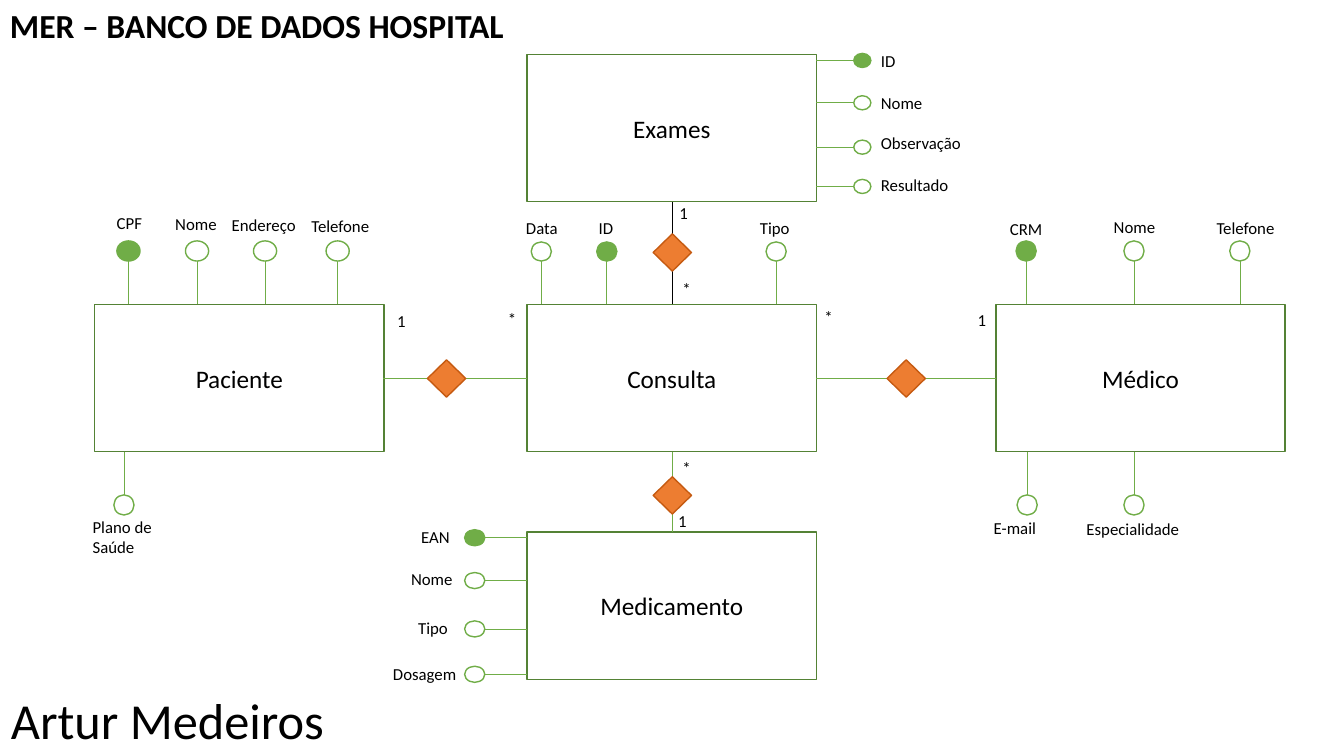
import pptx
import pptx.dml.color
import pptx.enum.shapes
import pptx.enum.text
import pptx.oxml.ns
import pptx.util
from lxml import etree

COLUMNS, ROWS = 133.33, 75
CELL = pptx.util.Inches(0.1)
FONT = "Calibri"
COLORS = {
    "paper": "FFFFFF",
    "ink": "000000",
    "entity_line": "548235",
    "attribute": "70AD47",
    "relation": "ED7D31",
    "relation_line": "C55A11",
}
ENTITY_WIDTH, ENTITY_HEIGHT = 28.7, 14.6
DIAMOND_WIDTH, DIAMOND_HEIGHT = 3.8, 3.7
LABEL_HEIGHT = 3

ENTITIES = {
    "Consulta": (52.3, 30.2),
    "Exames": (52.3, 5.4),
    "Medicamento": (52.3, 52.8),
    "Médico": (98.8, 30.2),
    "Paciente": (9.4, 30.2),
}
DIRECTIONS = {"top": (0, -1), "bottom": (0, 1), "left": (-1, 0), "right": (1, 0)}

# fmt: off
ATTRIBUTES = [
    ("Médico", "top", 2, 2, 4.3, [
        ("CRM", 101.8, 99.2, 21.2, 6.1, True),
        ("Nome", 112.5, 109.5, 21, 6.8, False),
        ("Telefone", 123, 119.7, 21.1, 8.5, False)]),
    ("Médico", "bottom", 2, 2, 4.3, [
        ("E-mail", 101.9, 97.6, 50.9, 8.5, False),
        ("Especialidade", 112.5, 106.8, 51, 11.5, False)]),
    ("Consulta", "top", 2, 1.9, 4.3, [
        ("Data", 53.7, 51.2, 21.1, 6.7, False),
        ("ID", 60.2, 58.4, 21.1, 6.7, True),
        ("Tipo", 77, 74.4, 21.1, 6.7, False)]),
    ("Medicamento", "left", 2, 1.6, 4.2, [
        ("EAN", 53.35, 40.8, 51.8, 5.3, True),
        ("Nome", 57.6, 39.8, 55.9, 6.3, False),
        ("Tipo", 62.4, 40.5, 60.8, 6.3, False),
        ("Dosagem", 66.9, 38, 65.4, 8.8, False)]),
    ("Exames", "right", 1.7, 1.4, 3.7, [
        ("ID", 6, 86.4, 4.5, 6.7, True),
        ("Nome", 10.2, 86.4, 8.7, 6.7, False),
        ("Observação", 14.6, 86.4, 12.7, 10.2, False),
        ("Resultado", 18.5, 86.4, 16.8, 10.2, False)]),
    ("Paciente", "top", 2.3, 2, 4.3, [
        ("CPF", 12.75, 10.6, 20.6, 8, True),
        ("Nome", 19.55, 16.4, 20.7, 8, False),
        ("Endereço", 26.3, 22, 20.8, 10.9, False),
        ("Telefone", 33.5, 29.9, 20.9, 9.9, False)]),
    ("Paciente", "bottom", 2, 2, 4.3, [
        ("Plano de Saúde", 12.3, 8.2, 50.8, 10.8, False)]),
]
# fmt: on

RELATIONS = [
    ((38, 37.5), (52.3, 37.5), (44.3, 37.55), "attribute"),
    ((66.7, 30.2), (66.7, 20), (66.7, 25.05), "ink"),
    ((81, 37.5), (98.8, 37.5), (89.9, 37.55), "attribute"),
    ((66.7, 44.8), (66.7, 52.8), (66.7, 49.15), "attribute"),
]
CARDINALITIES = [
    ("1", 96, 30.2), ("1", 38.4, 30.3), ("*", 49.4, 30.1), ("*", 80.8, 29.9),
    ("*", 66.7, 27.2), ("1", 66.4, 19.6), ("1", 66.3, 50.2), ("*", 66.7, 44.9),
]


def cells(*counts):
    return [round(count * CELL) for count in counts]


def color(name):
    return pptx.dml.color.RGBColor.from_string(COLORS[name])


def add_run(paragraph, text, size, bold=False):
    run = paragraph.add_run()
    run.text = text
    run.font.name = FONT
    run.font.size = pptx.util.Pt(size)
    run.font.bold = bold
    run.font.color.rgb = color("ink")


def add_text(slide, text, left, top, width, height=LABEL_HEIGHT, size=12, bold=False):
    box = slide.shapes.add_textbox(*cells(left, top, width, height))
    box.text_frame.word_wrap = True
    box.text_frame.auto_size = pptx.enum.text.MSO_AUTO_SIZE.SHAPE_TO_FIT_TEXT
    add_run(box.text_frame.paragraphs[0], text, size, bold)


def add_figure(slide, kind, left, top, width, height, fill, line):
    shape = slide.shapes.add_shape(kind, *cells(left, top, width, height))
    shape.shadow.inherit = False
    shape.fill.solid()
    shape.fill.fore_color.rgb = color(fill)
    shape.line.color.rgb = color(line)
    shape.line.width = pptx.util.Pt(1)
    return shape


def add_line(slide, start, end, line):
    connector = slide.shapes.add_connector(
        pptx.enum.shapes.MSO_CONNECTOR.STRAIGHT, *cells(*start, *end)
    )
    connector.line.color.rgb = color(line)
    connector.line.width = pptx.util.Pt(0.5)
    properties = connector.element.spPr
    etree.SubElement(properties, pptx.oxml.ns.qn("a:effectLst"))


def add_entity(slide, name, left, top):
    shape = add_figure(
        slide, pptx.enum.shapes.MSO_SHAPE.RECTANGLE, left, top,
        ENTITY_WIDTH, ENTITY_HEIGHT, "paper", "entity_line",
    )
    shape.text_frame.vertical_anchor = pptx.enum.text.MSO_ANCHOR.MIDDLE
    paragraph = shape.text_frame.paragraphs[0]
    paragraph.alignment = pptx.enum.text.PP_ALIGN.CENTER
    add_run(paragraph, name, 18)


def add_attribute(slide, entity, side, width, height, stem, attribute):
    label, position, label_left, label_top, label_width, is_key = attribute
    left, top = ENTITIES[entity]
    across, down = DIRECTIONS[side]
    if across:
        start = (left + ENTITY_WIDTH * (across > 0), position)
    else:
        start = (position, top + ENTITY_HEIGHT * (down > 0))
    end = (start[0] + across * stem, start[1] + down * stem)
    center = (end[0] + across * width / 2, end[1] + down * height / 2)
    add_line(slide, start, end, "attribute")
    add_figure(
        slide, pptx.enum.shapes.MSO_SHAPE.OVAL,
        center[0] - width / 2, center[1] - height / 2, width, height,
        "attribute" if is_key else "paper", "attribute",
    )
    add_text(slide, label, label_left, label_top, label_width)


def add_relation(slide, start, end, center, line):
    add_line(slide, start, end, line)
    add_figure(
        slide, pptx.enum.shapes.MSO_SHAPE.DIAMOND,
        center[0] - DIAMOND_WIDTH / 2, center[1] - DIAMOND_HEIGHT / 2,
        DIAMOND_WIDTH, DIAMOND_HEIGHT, "relation", "relation_line",
    )


def main():
    presentation = pptx.Presentation()
    presentation.slide_width, presentation.slide_height = cells(COLUMNS, ROWS)
    slide = presentation.slides.add_slide(presentation.slide_layouts[6])
    for name, (left, top) in ENTITIES.items():
        add_entity(slide, name, left, top)
    for entity, side, width, height, stem, attributes in ATTRIBUTES:
        for attribute in attributes:
            add_attribute(slide, entity, side, width, height, stem, attribute)
    for relation in RELATIONS:
        add_relation(slide, *relation)
    for mark, left, top in CARDINALITIES:
        add_text(slide, mark, left, top, 4.2)
    add_text(slide, "MER – BANCO DE DADOS HOSPITAL", 0, 0, 55.8, 5, 24, True)
    add_text(slide, "Artur Medeiros", 0.1, 67.9, 35.5, 7.1, 36)
    presentation.save("out.pptx")


main()
